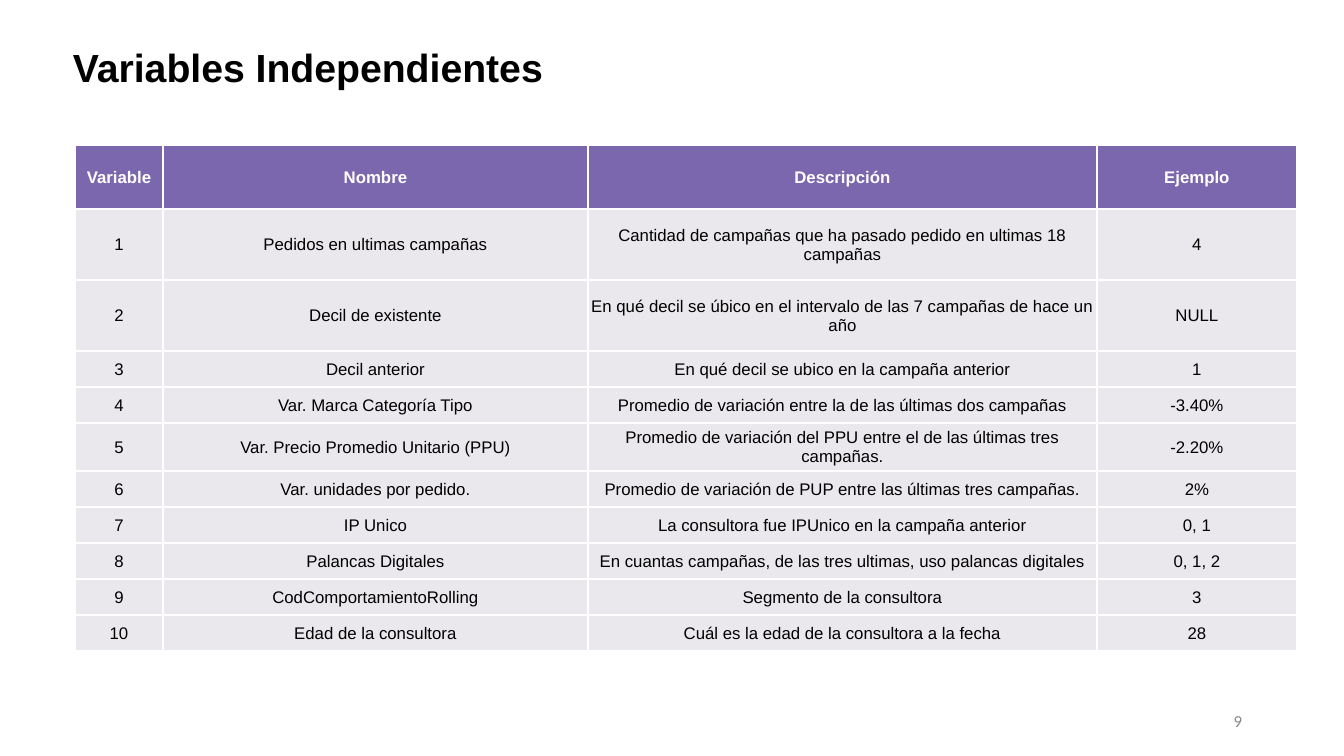
from dataclasses import dataclass

from lxml import etree
from pptx import Presentation
from pptx import util as u
from pptx.dml.color import RGBColor
from pptx.enum import text
from pptx.oxml.ns import qn

PX = u.Inches(1) / 100.8


@dataclass(frozen=True)
class Theme:
    black: str = "000000"
    white: str = "FFFFFF"
    purple: str = "7B67AD"
    pale: str = "EAE8EC"
    grey: str = "888888"
    body_font: str = "Arial"
    number_font: str = "Calibri"
    title_size: int = 28
    body_size: int = 12
    border_width: int = 1


THEME = Theme()

HEADINGS = ("Variable", "Nombre", "Descripción", "Ejemplo")
VARIABLES = (
    ("Pedidos en ultimas campañas",
     "Cantidad de campañas que ha pasado pedido en ultimas 18 campañas", "4"),
    ("Decil de existente",
     "En qué decil se úbico en el intervalo de las 7 campañas de hace un año", "NULL"),
    ("Decil anterior", "En qué decil se ubico en la campaña anterior", "1"),
    ("Var. Marca Categoría Tipo",
     "Promedio de variación entre la de las últimas dos campañas", "-3.40%"),
    ("Var. Precio Promedio Unitario (PPU)",
     "Promedio de variación del PPU entre el de las últimas tres campañas.", "-2.20%"),
    ("Var. unidades por pedido.",
     "Promedio de variación de PUP entre las últimas tres campañas.", "2%"),
    ("IP Unico", "La consultora fue IPUnico en la campaña anterior", "0, 1"),
    ("Palancas Digitales",
     "En cuantas campañas, de las tres ultimas, uso palancas digitales", "0, 1, 2"),
    ("CodComportamientoRolling", "Segmento de la consultora", "3"),
    ("Edad de la consultora", "Cuál es la edad de la consultora a la fecha", "28"),
)
COLUMN_WIDTHS = (88, 425, 509, 200)
ROW_HEIGHTS = (64, 71, 71, 36, 36, 48) + (36,) * 5


def px(length):
    return u.Emu(round(length * PX))


def style(paragraph, font_name, size, color, bold=False,
          align=text.PP_ALIGN.CENTER):
    paragraph.alignment = align
    font = paragraph.font
    font.name, font.size, font.bold = font_name, u.Pt(size), bold
    font.color.rgb = RGBColor.from_string(color)


def add_label(slide, wording, box, **look):
    frame = slide.shapes.add_textbox(*map(px, box)).text_frame
    frame.word_wrap = True
    frame.vertical_anchor = text.MSO_ANCHOR.MIDDLE
    frame.text = wording
    style(frame.paragraphs[0], **look)


def add_borders(cell):
    properties = cell._tc.get_or_add_tcPr()
    for position, side in enumerate(("lnL", "lnR", "lnT", "lnB")):
        line = etree.Element(qn(f"a:{side}"), w=str(u.Pt(THEME.border_width)))
        fill = etree.SubElement(line, qn("a:solidFill"))
        etree.SubElement(fill, qn("a:srgbClr"), val=THEME.white)
        properties.insert(position, line)


def fill_cell(cell, wording, is_heading):
    cell.text = wording
    cell.vertical_anchor = text.MSO_ANCHOR.MIDDLE
    cell.margin_left = cell.margin_right = cell.margin_top = px(1)
    cell.margin_bottom = 0
    cell.fill.solid()
    cell.fill.fore_color.rgb = RGBColor.from_string(
        THEME.purple if is_heading else THEME.pale)
    style(cell.text_frame.paragraphs[0], THEME.body_font, THEME.body_size,
          THEME.white if is_heading else THEME.black, bold=is_heading)
    add_borders(cell)


def add_variables_table(slide, left, top):
    rows = [HEADINGS] + [(str(number), *variable)
                         for number, variable in enumerate(VARIABLES, 1)]
    table = slide.shapes.add_table(
        len(rows), len(HEADINGS), px(left), px(top),
        px(sum(COLUMN_WIDTHS)), px(sum(ROW_HEIGHTS))).table
    table.horz_banding = False
    for column, width in zip(table.columns, COLUMN_WIDTHS):
        column.width = px(width)
    for index, (row, height, wordings) in enumerate(
            zip(table.rows, ROW_HEIGHTS, rows)):
        row.height = px(height)
        for cell, wording in zip(row.cells, wordings):
            fill_cell(cell, wording, is_heading=index == 0)


def main():
    deck = Presentation()
    deck.slide_width, deck.slide_height = px(1344), px(756)
    slide = deck.slides.add_slide(deck.slide_layouts[6])
    add_label(slide, "9", (950, 701, 302, 40), font_name=THEME.number_font,
              size=THEME.body_size, color=THEME.grey, align=text.PP_ALIGN.RIGHT)
    add_label(slide, "Variables Independientes", (63, 38, 934, 58),
              font_name=THEME.body_font, size=THEME.title_size,
              color=THEME.black, bold=True, align=text.PP_ALIGN.LEFT)
    add_variables_table(slide, 75, 145)
    deck.save("out.pptx")


if __name__ == "__main__":
    main()
